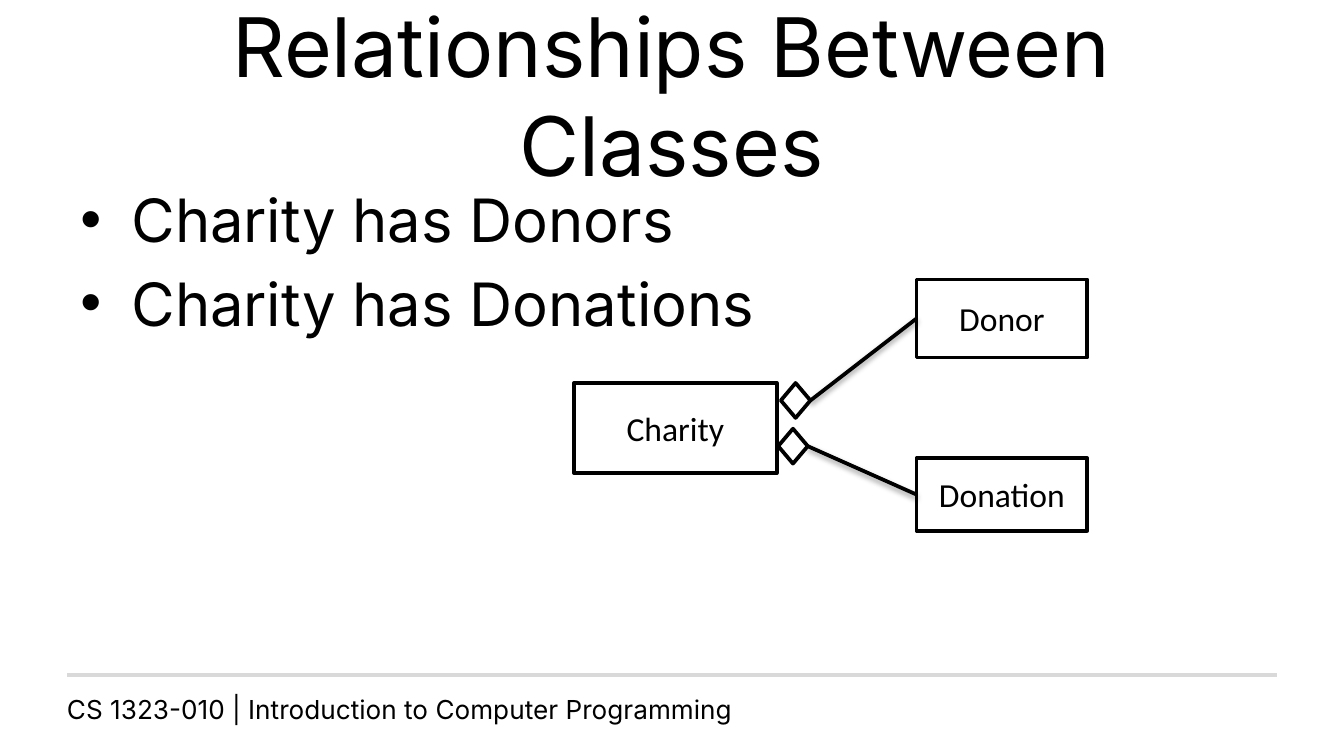
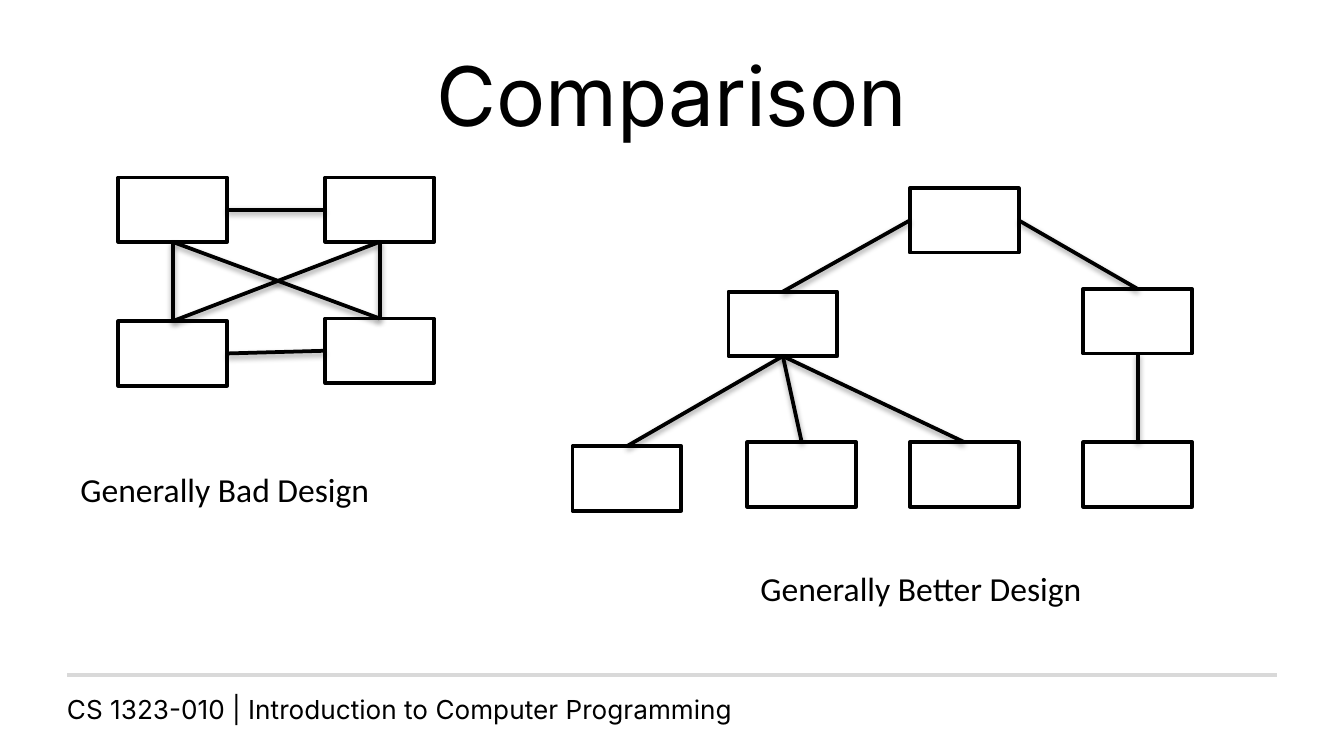
from lxml import etree
from pptx import Presentation
from pptx import util as u
from pptx.dml.color import RGBColor
from pptx.enum import shapes, text
from pptx.oxml import parse_xml
from pptx.oxml.ns import qn

BLACK, WHITE, GREY = "000000", "FFFFFF", "D9D9D9"
HEADING_FONT, DIAGRAM_FONT = "Inter", "Calibri"
FOOTER = "CS 1323-010 | Introduction to Computer Programming"
SHADOW = (
    '<a:effectLst xmlns:a="http://schemas.openxmlformats.org/drawingml/2006/main">'
    '<a:outerShdw blurRad="39370" dist="20320" dir="5400000" rotWithShape="0">'
    '<a:srgbClr val="000000"><a:alpha val="38000"/></a:srgbClr>'
    '</a:outerShdw></a:effectLst>'
)
TOP, LEFT, BOTTOM, RIGHT = range(4)
RECTANGLE = shapes.MSO_SHAPE.RECTANGLE
DIAMOND = shapes.MSO_SHAPE.DIAMOND
NODE = (0.81, 0.48)
AGGREGATE = (0.22, 0.26)


def write(shape, lines, size, font, align=text.PP_ALIGN.LEFT, anchor=text.MSO_ANCHOR.TOP, wrap=True):
    frame = shape.text_frame
    frame.text = "\n".join(lines)
    frame.word_wrap = wrap
    frame.vertical_anchor = anchor
    for paragraph in frame.paragraphs:
        paragraph.alignment = align
        for run in paragraph.runs:
            run.font.size = u.Pt(size)
            run.font.name = font
            run.font.color.rgb = RGBColor.from_string(BLACK)


def add_line(slide, start, end, color):
    line = slide.shapes.add_connector(
        shapes.MSO_CONNECTOR.STRAIGHT, *[u.Inches(value) for value in (*start, *end)]
    )
    line.line.color.rgb = RGBColor.from_string(color)
    line.line.width = u.Pt(2)
    return line


pages = [
    {
        "title": "Relationships Between Classes",
        "bullets": ["Charity has Donors", "Charity has Donations"],
        "boxes": {
            "charity": (RECTANGLE, 4.27, 2.85, 1.51, 0.67, "Charity"),
            "donor": (RECTANGLE, 6.82, 2.08, 1.27, 0.58, "Donor"),
            "donation": (RECTANGLE, 6.82, 3.41, 1.27, 0.54, "Donation"),
            "has donors": (DIAMOND, 5.81, 2.85, *AGGREGATE, ""),
            "has donations": (DIAMOND, 5.79, 3.19, *AGGREGATE, ""),
        },
        "links": [
            ("has donors", RIGHT, "donor", LEFT),
            ("has donations", RIGHT, "donation", LEFT),
        ],
        "captions": [],
    },
    {
        "title": "Comparison",
        "bullets": [],
        "boxes": {
            name: (RECTANGLE, left, top, *NODE, "")
            for name, left, top in [
                ("mesh top left", 0.88, 1.32),
                ("mesh bottom right", 2.42, 2.37),
                ("mesh top right", 2.42, 1.32),
                ("mesh bottom left", 0.88, 2.39),
                ("leaf 4", 8.06, 3.29),
                ("leaf 3", 6.77, 3.29),
                ("leaf 2", 5.56, 3.29),
                ("leaf 1", 4.26, 3.32),
                ("right branch", 8.06, 2.15),
                ("left branch", 5.42, 2.17),
                ("root", 6.77, 1.4),
            ]
        },
        "links": [
            ("mesh top left", BOTTOM, "mesh bottom left", TOP),
            ("mesh top left", RIGHT, "mesh top right", LEFT),
            ("mesh bottom left", RIGHT, "mesh bottom right", LEFT),
            ("mesh top right", BOTTOM, "mesh bottom right", TOP),
            ("mesh top left", BOTTOM, "mesh bottom right", TOP),
            ("mesh top right", BOTTOM, "mesh bottom left", TOP),
            ("root", LEFT, "left branch", TOP),
            ("root", RIGHT, "right branch", TOP),
            ("right branch", BOTTOM, "leaf 4", TOP),
            ("left branch", BOTTOM, "leaf 1", TOP),
            ("left branch", BOTTOM, "leaf 2", TOP),
            ("left branch", BOTTOM, "leaf 3", TOP),
        ],
        "captions": [
            ("Generally Bad Design", 0.5, 3.44, 2.38),
            ("Generally Better Design", 5.56, 4.18, 2.62),
        ],
    },
]

presentation = Presentation()
presentation.slide_width = u.Inches(10)
presentation.slide_height = u.Inches(10) * 9 // 16

for page in pages:
    slide = presentation.slides.add_slide(presentation.slide_layouts[6])
    slide.background.fill.solid()
    slide.background.fill.fore_color.rgb = RGBColor.from_string(WHITE)

    footer = slide.shapes.add_textbox(u.Inches(0.4), u.Inches(5.11), u.Inches(9), u.Inches(0.21))
    write(footer, [FOOTER], 14, HEADING_FONT)
    rule = add_line(slide, (0.5, 5.02), (9.5, 5.02), GREY)
    etree.SubElement(rule._element.spPr, qn("a:effectLst"))

    title = slide.shapes.add_textbox(u.Inches(0.5), u.Inches(0.23), u.Inches(9), u.Inches(0.94))
    write(title, [page["title"]], 44, HEADING_FONT, text.PP_ALIGN.CENTER, text.MSO_ANCHOR.MIDDLE)

    if page["bullets"]:
        body = slide.shapes.add_textbox(u.Inches(0.5), u.Inches(1.31), u.Inches(9), u.Inches(3.71))
        write(body, page["bullets"], 32, HEADING_FONT)
        for index, paragraph in enumerate(body.text_frame.paragraphs):
            paragraph.space_before = u.Pt(6.4 if index else 0)
            properties = paragraph._p.get_or_add_pPr()
            properties.set("marL", str(u.Inches(0.38)))
            properties.set("indent", str(-u.Inches(0.38)))
            etree.SubElement(properties, qn("a:buFont")).set("typeface", "Arial")
            etree.SubElement(properties, qn("a:buChar")).set("char", "•")

    boxes = {}
    for name, (kind, left, top, width, height, label) in page["boxes"].items():
        shape = slide.shapes.add_shape(
            kind, u.Inches(left), u.Inches(top), u.Inches(width), u.Inches(height)
        )
        shape.shadow.inherit = False
        shape.fill.solid()
        shape.fill.fore_color.rgb = RGBColor.from_string(WHITE)
        shape.line.color.rgb = RGBColor.from_string(BLACK)
        shape.line.width = u.Pt(2)
        if label:
            write(shape, [label], 18, DIAGRAM_FONT, text.PP_ALIGN.CENTER, text.MSO_ANCHOR.MIDDLE)
        boxes[name] = shape

    for source, source_side, target, target_side in page["links"]:
        link = add_line(slide, (0, 0), (1, 1), BLACK)
        link.begin_connect(boxes[source], source_side)
        link.end_connect(boxes[target], target_side)
        link._element.spPr.append(parse_xml(SHADOW))

    for label, left, top, width in page["captions"]:
        caption = slide.shapes.add_textbox(u.Inches(left), u.Inches(top), u.Inches(width), u.Inches(0.4))
        write(caption, [label], 18, DIAGRAM_FONT, wrap=False)
        caption.text_frame.auto_size = text.MSO_AUTO_SIZE.SHAPE_TO_FIT_TEXT

presentation.save("out.pptx")
